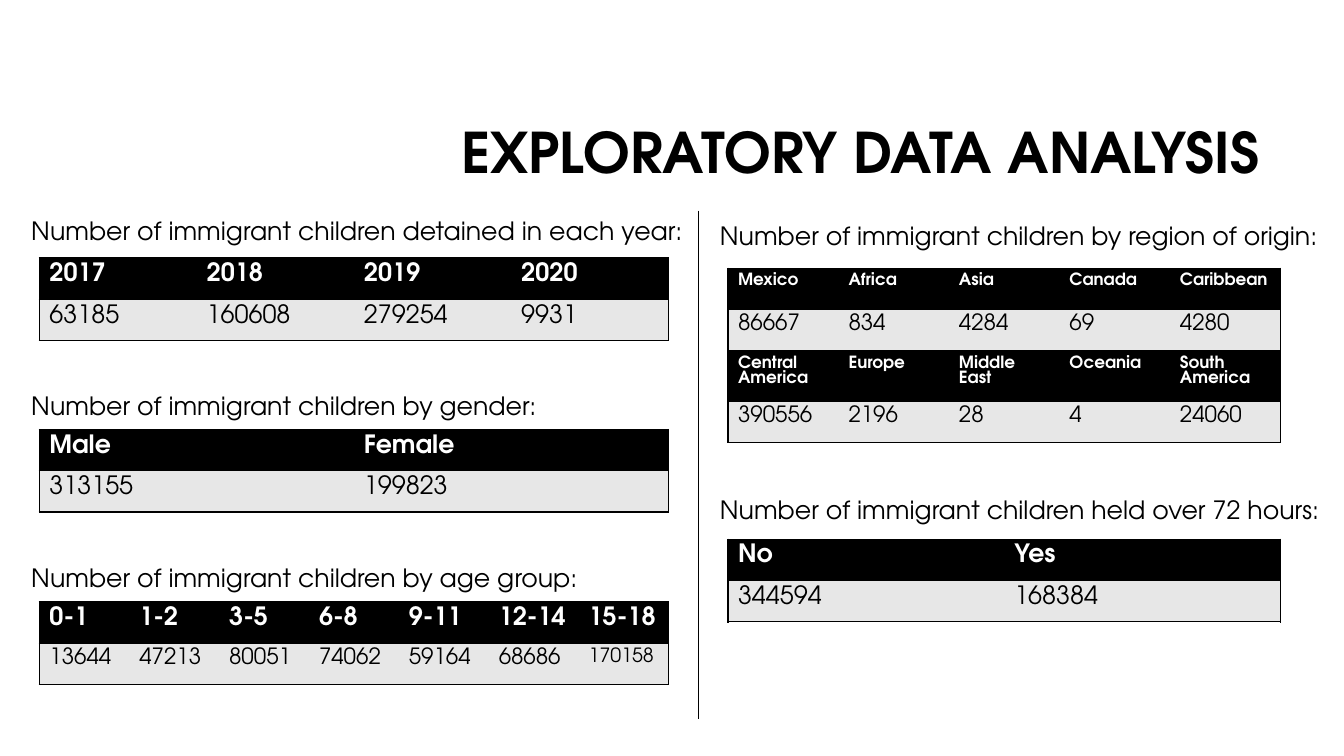
from lxml import etree
from pptx import Presentation
from pptx.dml.color import RGBColor
from pptx.enum.shapes import MSO_CONNECTOR
from pptx.enum.text import MSO_ANCHOR, MSO_AUTO_SIZE, PP_ALIGN
from pptx.oxml.ns import qn
from pptx.util import Inches, Pt

STRAIGHT = MSO_CONNECTOR.STRAIGHT
MIDDLE = MSO_ANCHOR.MIDDLE
FIT_TEXT = MSO_AUTO_SIZE.SHAPE_TO_FIT_TEXT
RIGHT = PP_ALIGN.RIGHT

FONT = "TeX Gyre Adventor"
BLACK, WHITE, GREY = "000000", "FFFFFF", "E7E7E7"
ROW_HEIGHT = 0.41
CAPTION_HEIGHT = 0.4
TABLE_INDENT = 0.18
DIVIDER_X = 6.93

# Each section: caption, caption top, wrapping, table top, header size, value size, rows
YEAR = ("Number of immigrant children detained in each year:", 2.09, True, 2.56, 18, 18,
        [["2017", "2018", "2019", "2020"],
         ["63185", "160608", "279254", "9931"]])
GENDER = ("Number of immigrant children by gender:", 3.82, False, 4.26, 18, 18,
          [["Male", "Female"], ["313155", "199823"]])
AGE = ("Number of immigrant children by age group:", 5.53, False, 5.97, 18, 16,
       [["0-1", "1-2", "3-5", "6-8", "9-11", "12-14", "15-18"],
        ["13644", "47213", "80051", "74062", "59164", "68686", "170158"]])
REGION = ("Number of immigrant children by region of origin:", 2.14, True, 2.66, 12, 16,
          [["Mexico", "Africa", "Asia", "Canada", "Caribbean"],
           ["86667", "834", "4284", "69", "4280"],
           ["Central America", "Europe", "Middle East", "Oceania", "South America"],
           ["390556", "2196", "28", "4", "24060"]])
HELD = ("Number of immigrant children held over 72 hours:", 4.85, True, 5.35, 18, 18,
        [["No", "Yes"], ["344594", "168384"]])


def color(hex_value):
    return RGBColor.from_string(hex_value)


def set_font(paragraph, size, hex_value, bold=False):
    font = paragraph.font
    font.name, font.size, font.bold = FONT, Pt(size), bold
    font.color.rgb = color(hex_value)


def add_text(slide, text, left, top, width, height, size, bold=False):
    shape = slide.shapes.add_textbox(Inches(left), Inches(top), Inches(width), Inches(height))
    shape.text_frame.word_wrap = True
    paragraph = shape.text_frame.paragraphs[0]
    paragraph.text = text
    set_font(paragraph, size, BLACK, bold)
    return shape


def add_title(slide, left, top, width, height):
    frame = add_text(slide, "EXPLORATORY DATA ANALYSIS", left, top, width, height,
                     40, bold=True).text_frame
    frame.vertical_anchor = MIDDLE
    frame.paragraphs[0].alignment = RIGHT
    frame.paragraphs[0].line_spacing = 0.9


def set_borders(cell, sides):
    """Draw thin black lines on the given sides, and none on the others."""
    properties = cell._tc.get_or_add_tcPr()
    for position, side in enumerate("LRTB"):
        line = etree.Element(qn(f"a:ln{side}"), w=str(Pt(1)))
        if side in sides:
            fill = etree.SubElement(line, qn("a:solidFill"))
            etree.SubElement(fill, qn("a:srgbClr"), val=BLACK)
        else:
            etree.SubElement(line, qn("a:noFill"))
        properties.insert(position, line)


def add_data_table(slide, rows, left, top, width, header_size, value_size):
    """Alternate black header rows with grey value rows."""
    row_count, column_count = len(rows), len(rows[0])
    table = slide.shapes.add_table(row_count, column_count, Inches(left), Inches(top),
                                   Inches(width), Inches(ROW_HEIGHT * row_count)).table
    table.horz_banding = False
    for row_index, row in enumerate(rows):
        is_header = row_index % 2 == 0
        for column_index, text in enumerate(row):
            cell = table.cell(row_index, column_index)
            cell.text = text
            cell.fill.solid()
            cell.fill.fore_color.rgb = color(BLACK if is_header else GREY)
            size = header_size if is_header else value_size
            if column_count == 7 and text == "170158":
                size = 14
            set_font(cell.text_frame.paragraphs[0], size,
                     WHITE if is_header else BLACK, is_header)
            sides = "TB"
            if column_index == 0:
                sides += "L"
            if column_index == column_count - 1:
                sides += "R"
            set_borders(cell, sides)


def add_column(slide, sections, left, caption_width, table_width):
    for caption, caption_top, wraps, table_top, header_size, value_size, rows in sections:
        frame = add_text(slide, caption, left, caption_top, caption_width,
                         CAPTION_HEIGHT, 18).text_frame
        frame.word_wrap = wraps
        frame.auto_size = FIT_TEXT
        add_data_table(slide, rows, left + TABLE_INDENT, table_top, table_width,
                       header_size, value_size)


def add_divider(slide, x, top, bottom):
    line = slide.shapes.add_connector(STRAIGHT, Inches(x), Inches(top), Inches(x), Inches(bottom))
    line.line.color.rgb = color(BLACK)
    line.line.width = Pt(0.75)
    etree.SubElement(line._element.spPr, qn("a:effectLst"))


def main():
    presentation = Presentation()
    presentation.slide_width, presentation.slide_height = Inches(13.33), Inches(7.5)
    slide = presentation.slides.add_slide(presentation.slide_layouts[6])
    add_title(slide, 3.17, 0.84, 9.42, 1.41)
    add_column(slide, [YEAR, GENDER, AGE], 0.21, 6.72, 6.24)
    add_divider(slide, DIVIDER_X, 2.09, 7.13)
    add_column(slide, [REGION, HELD], 7.04, 6.25, 5.48)
    presentation.save("out.pptx")


if __name__ == "__main__":
    main()
